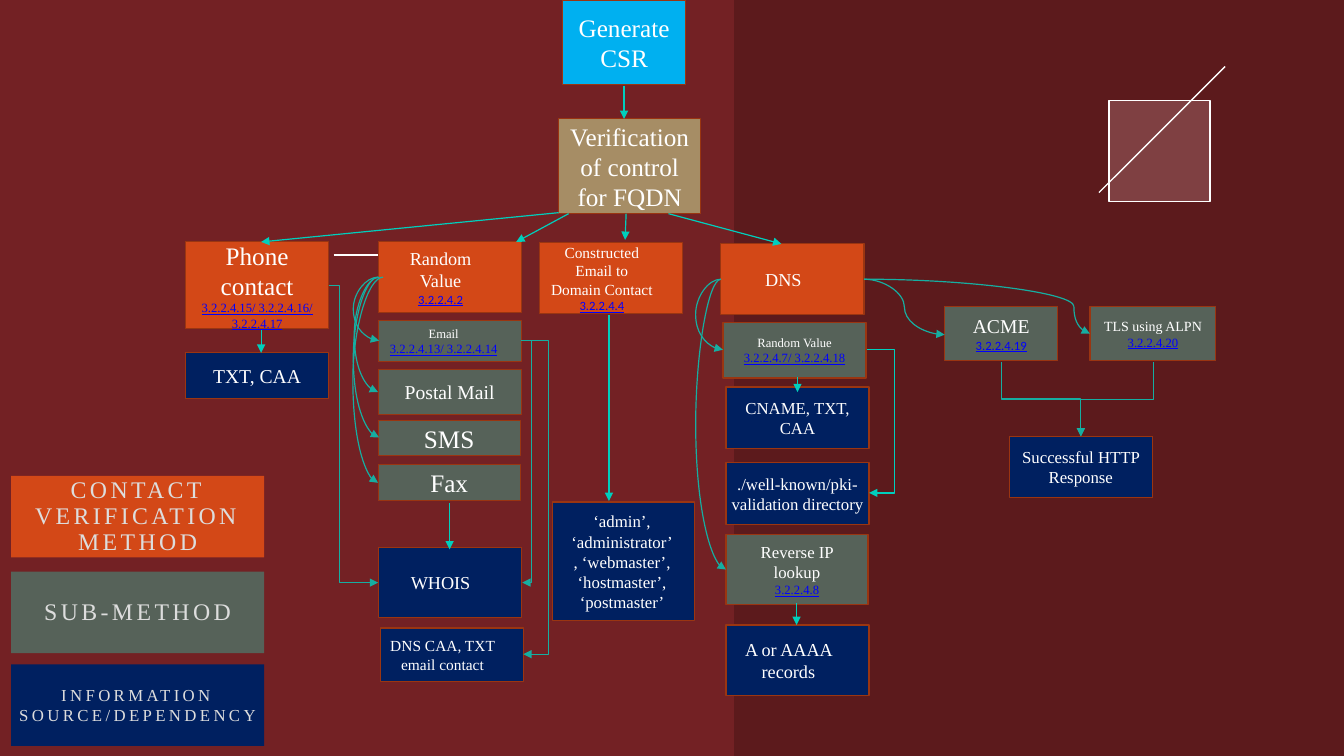
import math

import pptx
import pptx.dml.color
import pptx.enum.shapes
import pptx.enum.text
import pptx.oxml
import pptx.oxml.ns
import pptx.util

Inches = pptx.util.Inches
Pt = pptx.util.Pt
qn = pptx.oxml.ns.qn
SubElement = pptx.oxml.xmlchemy.OxmlElement
RECTANGLE = pptx.enum.shapes.MSO_SHAPE.RECTANGLE
STRAIGHT = pptx.enum.shapes.MSO_CONNECTOR.STRAIGHT
ELBOW = pptx.enum.shapes.MSO_CONNECTOR.ELBOW
CURVE = pptx.enum.shapes.MSO_CONNECTOR.CURVE

ORANGE, GREEN, NAVY = "D34817", "566259", "002060"
TURQUOISE, TEAL, WHITE = "00CFBD", "16AEA1", "FFFFFF"
SERIF = "Times New Roman"


def paint(target, colour, alpha=None):
    """Set a solid colour on a fill, with an optional opacity in percent."""
    target.solid()
    target.fore_color.rgb = pptx.dml.color.RGBColor.from_string(colour)
    if alpha:
        opacity = SubElement("a:alpha")
        opacity.set("val", str(alpha * 1000))
        target.fore_color._xFill.find(qn("a:srgbClr")).append(opacity)


def connect(kind, x1, y1, x2, y2, colour, width=0.85, arrow=True):
    """Draw a shadowless connector, with an arrowhead at its end."""
    link = page.shapes.add_connector(kind, Inches(x1), Inches(y1), Inches(x2), Inches(y2))
    paint(link.line.fill, colour)
    link.line.width = Pt(width)
    if arrow:
        head = SubElement("a:tailEnd")
        head.set("type", "triangle")
        link.line.fill._xPr.append(head)
    link.element.spPr.append(SubElement("a:effectLst"))
    return link


deck = pptx.Presentation()
deck.slide_width, deck.slide_height = Inches(13.33), Inches(7.5)
page = deck.slides.add_slide(deck.slide_layouts[6])
paint(page.background.fill, "732124")

# Darker right half and the short rule behind the boxes
connect(STRAIGHT, 3.31, 2.53, 3.9, 2.53, WHITE, 1, arrow=False)
panel = page.shapes.add_shape(RECTANGLE, Inches(7.28), 0, Inches(6.05), Inches(7.5))
panel.shadow.inherit = False
paint(panel.fill, "000000", 20)
panel.line.fill.background()

# Leaf: two quarter circles, once as a shade and once as an outline
radius = 1.02
for left, top, filled in [(11.18, 0.71, True), (11.13, 0.66, False)]:
    points = []
    for step in range(48):
        angle = math.radians(180 + step * 90 / 24 if step < 24 else (step - 24) * 90 / 24)
        centre_x, centre_y = (left + radius, top + radius) if step < 24 else (left, top)
        points.append((centre_x + radius * math.cos(angle), centre_y + radius * math.sin(angle)))
    builder = page.shapes.build_freeform(*points[0], scale=Inches(1))
    builder.add_line_segments(points[1:], close=True)
    leaf = builder.convert_to_shape()
    leaf.shadow.inherit = False
    if filled:
        paint(leaf.fill, "B4797B", 40)
        leaf.line.fill.background()
    else:
        leaf.fill.background()
        paint(leaf.line.fill, WHITE)
        leaf.line.width = Pt(1)
connect(STRAIGHT, 12.15, 0.66, 10.9, 1.91, WHITE, 1, arrow=False)

# Flow boxes: left, top, width, height, fill, left and right inset, text, size, reference
EVEN, SHIFTED, WIDE, SLIM = (0.05, 0.05), (0.1, 0.28), (0, 0.12), (0.12, 0.12)
boxes = [
    (5.58, 0, 1.22, 0.84, "00B0F0", EVEN, "Generate CSR", 18, ""),
    (5.54, 1.18, 1.41, 0.94, "A68D65", EVEN, "Verification of control for FQDN", 18, ""),
    (1.84, 2.4, 1.42, 0.86, ORANGE, EVEN, "Phone contact", 18, "3.2.2.4.15/ 3.2.2.4.16/ 3.2.2.4.17"),
    (1.84, 3.5, 1.42, 0.45, NAVY, EVEN, "TXT, CAA", 14, ""),
    (3.75, 2.4, 1.42, 0.7, ORANGE, SHIFTED, "Random Value", 13, "3.2.2.4.2"),
    (3.75, 3.18, 1.42, 0.41, GREEN, WIDE, "Email", 9, "3.2.2.4.13/ 3.2.2.4.14"),
    (3.75, 3.67, 1.42, 0.44, GREEN, SLIM, "Postal Mail", 14, ""),
    (3.75, 4.17, 1.41, 0.35, GREEN, SLIM, "SMS", 18, ""),
    (3.75, 4.61, 1.41, 0.36, GREEN, SLIM, "Fax", 18, ""),
    (3.75, 5.43, 1.42, 0.7, NAVY, SHIFTED, "WHOIS", 13, ""),
    (3.77, 6.23, 1.42, 0.53, NAVY, SHIFTED, "DNS CAA, TXT email contact", 11, ""),
    (5.35, 2.41, 1.42, 0.7, ORANGE, SHIFTED, "Constructed Email to Domain Contact", 11, "3.2.2.4.4"),
    (5.48, 4.98, 1.41, 1.18, NAVY, (0.17, 0.2),
     "‘admin’, ‘administrator’, ‘webmaster’, ‘hostmaster’, ‘postmaster’", 12, ""),
    (7.15, 2.42, 1.42, 0.7, ORANGE, SHIFTED, "DNS", 13, ""),
    (7.17, 3.2, 1.42, 0.55, GREEN, SLIM, "Random Value", 9, "3.2.2.4.7/ 3.2.2.4.18"),
    (7.2, 3.84, 1.42, 0.61, NAVY, EVEN, "CNAME, TXT, CAA", 12, ""),
    (7.2, 4.59, 1.42, 0.61, NAVY, EVEN, "./well-known/pki-validation directory", 12, ""),
    (7.2, 5.3, 1.41, 0.7, GREEN, SLIM, "Reverse IP lookup", 12, "3.2.2.4.8"),
    (7.2, 6.2, 1.42, 0.7, NAVY, SHIFTED, "A or AAAA records", 13, ""),
    (9.37, 3.04, 1.12, 0.54, GREEN, SLIM, "ACME", 14, "3.2.2.4.19"),
    (10.81, 3.04, 1.25, 0.54, GREEN, SLIM, "TLS using ALPN", 10, "3.2.2.4.20"),
    (10.01, 4.33, 1.42, 0.61, NAVY, EVEN, "Successful HTTP Response", 12, ""),
    # Legend
    (0.11, 4.72, 2.51, 0.81, ORANGE, (0, 0), "CONTACT VERIFICATION METHOD", 17, ""),
    (0.11, 5.67, 2.51, 0.81, GREEN, (0, 0), "SUB-METHOD", 17, ""),
    (0.11, 6.59, 2.51, 0.81, NAVY, (0, 0), "INFORMATION SOURCE/DEPENDENCY", 12, ""),
]
sans_references = ("3.2.2.4.2", "3.2.2.4.4", "3.2.2.4.19")
for left, top, width, height, fill, insets, label, size, reference in boxes:
    legend = left < 1
    box = page.shapes.add_shape(RECTANGLE, Inches(left), Inches(top), Inches(width), Inches(height))
    box.shadow.inherit = False
    paint(box.fill, fill)
    if legend:
        box.line.fill.background()
    else:
        paint(box.line.fill, "9A3511")
        box.line.width = Pt(0.85)
    frame = box.text_frame
    frame.word_wrap = True
    frame.vertical_anchor = pptx.enum.text.MSO_ANCHOR.MIDDLE
    frame.margin_left, frame.margin_right = Inches(insets[0]), Inches(insets[1])
    frame.margin_top = frame.margin_bottom = 0
    lines = [(label, size, SERIF, "DDDDDD" if legend else WHITE)]
    if reference:
        lines.append((reference, 9, "Calibri" if reference in sans_references else SERIF, "0000FF"))
    for number, (text, points, font, colour) in enumerate(lines):
        para = frame.add_paragraph() if number else frame.paragraphs[0]
        para.alignment = pptx.enum.text.PP_ALIGN.CENTER
        span = para.add_run()
        span.text = text
        span.font.size = Pt(points)
        span.font.name = font
        span.font.underline = number == 1
        paint(span.font.fill, colour)
        if legend:
            span.font._element.set("spc", "240")
            para.line_spacing = 0.9 if size == 17 else 1.0

# Straight arrows
for ends in [
    (6.19, 0.85, 6.19, 1.18), (5.54, 2.11, 2.59, 2.4), (5.64, 2.12, 5.12, 2.4),
    (6.21, 2.12, 6.2, 2.38), (6.63, 2.12, 7.75, 2.42), (2.59, 3.27, 2.59, 3.5),
    (4.46, 4.99, 4.46, 5.45), (6.04, 3.13, 6.04, 4.97), (7.91, 3.74, 7.91, 3.89),
    (7.9, 5.98, 7.9, 6.2),
]:
    connect(STRAIGHT, *ends, TURQUOISE)

# Sideways arrows that turn at a given x
turning = [
    (CURVE, 3.75, 2.75, 3.76, 3.38, 3.5, TEAL),
    (CURVE, 3.76, 2.75, 3.75, 3.89, 3.51, TEAL),
    (CURVE, 3.75, 2.75, 3.76, 4.34, 3.5, TEAL),
    (CURVE, 3.8, 2.75, 3.75, 4.79, 3.5, TEAL),
    (CURVE, 7.15, 2.77, 7.17, 3.47, 6.9, TEAL),
    (CURVE, 7.15, 2.77, 7.2, 5.65, 6.9, TEAL),
    (CURVE, 8.57, 2.77, 9.37, 3.32, 8.97, TEAL),
    (CURVE, 8.57, 2.77, 10.81, 3.31, 10.65, TEAL),
    (ELBOW, 3.26, 2.83, 3.75, 5.78, 3.37, TEAL),
    (ELBOW, 5.17, 3.38, 5.18, 5.78, 5.27, TEAL),
    (ELBOW, 5.17, 3.38, 5.19, 6.49, 5.44, TEAL),
    (ELBOW, 8.6, 3.47, 8.62, 4.89, 8.87, TURQUOISE),
]
for kind, x1, y1, x2, y2, turn, colour in turning:
    link = connect(kind, x1, y1, x2, y2, colour)
    guide = SubElement("a:gd")
    guide.set("name", "adj1")
    guide.set("fmla", f"val {round((turn - x1) / (x2 - x1) * 100000)}")
    link.element.spPr.find(qn("a:prstGeom")).get_or_add_avLst().append(guide)

# Downward elbows into the HTTP response: laid out sideways, then turned by 90 degrees
for x1, y1, x2, y2 in [(9.93, 3.59, 10.72, 4.33), (11.44, 3.59, 10.72, 4.33)]:
    middle_x, middle_y = (x1 + x2) / 2, (y1 + y2) / 2
    half_drop, half_run = (y2 - y1) / 2, (x2 - x1) / 2
    link = connect(ELBOW, middle_x - half_drop, middle_y + half_run,
                   middle_x + half_drop, middle_y - half_run, TEAL)
    link.element.spPr.find(qn("a:xfrm")).set("rot", "5400000")

deck.save("out.pptx")
